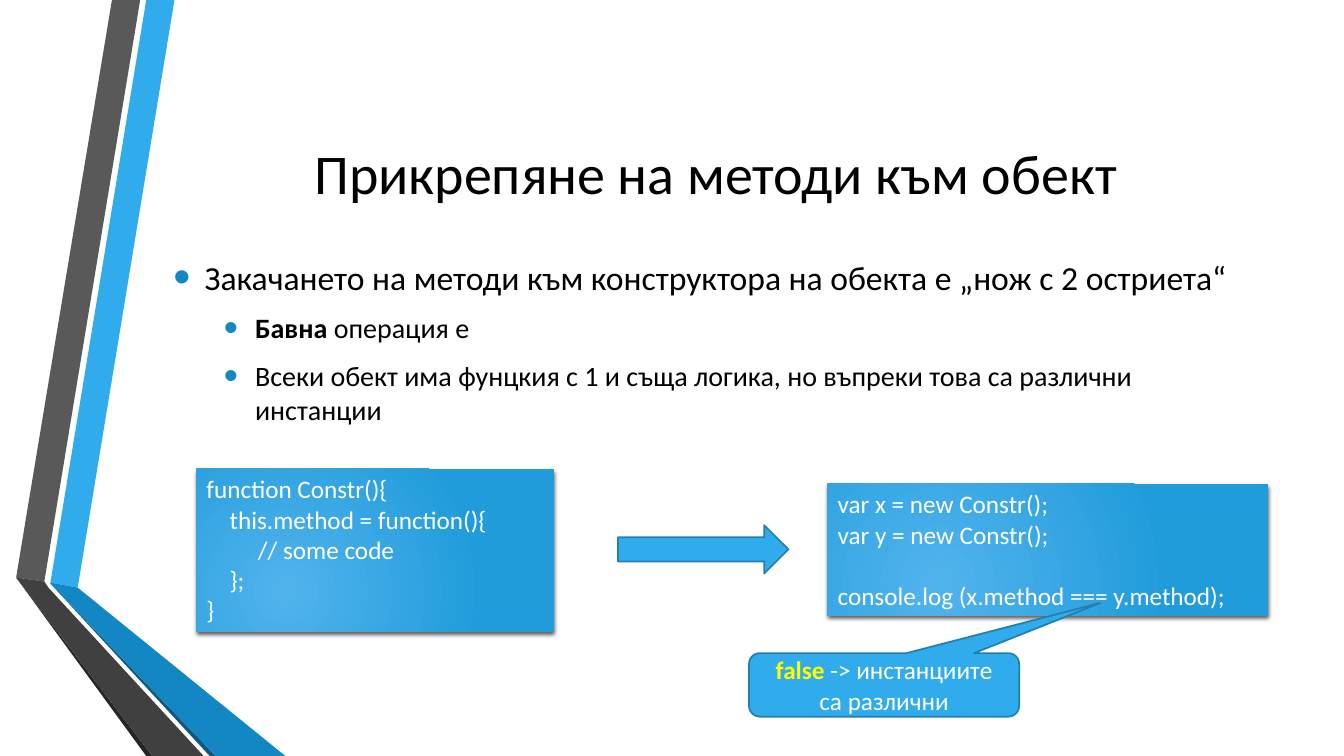
"""Builds a slide on the cost of attaching methods inside a constructor."""
from lxml.etree import SubElement, fromstring
from pptx import Presentation
from pptx.dml.color import RGBColor
from pptx.enum.shapes import MSO_SHAPE
from pptx.enum.text import MSO_ANCHOR, MSO_AUTO_SIZE, PP_ALIGN
from pptx.oxml.ns import nsdecls, qn
from pptx.util import Inches, Pt

COLORS = {
    "black": "000000", "white": "FFFFFF", "yellow": "FFFF00",
    "sky": "30ACEC", "blue": "1287C3", "navy": "0C5A82", "outline": "247FAF",
    "glow": "51B3ED", "edge": "219CDB",
    "gray": "595959", "charcoal": "404040", "coal": "262626",
}
FONT = "Calibri"

TITLE = "Прикрепяне на методи към обект"
BULLETS = [
    (0, 24, [("Закачането на методи към конструктора на обекта е „нож с 2 остриета“", False)]),
    (1, 20, [("Бавна", True), (" операция е", False)]),
    (1, 20, [("Всеки обект има фунцкия с 1 и съща логика, но въпреки това са различни инстанции", False)]),
]
# Each code line: indent in inches, space before in points, text
CONSTRUCTOR_CODE = [
    (0, 0, "function Constr(){"),
    (0.23, 0, "this.method = function(){"),
    (0.51, 0, "// some code"),
    (0.23, 0, "};"),
    (0, 0, "}"),
]
USAGE_CODE = [
    (0, 0, "var x = new Constr();"),
    (0, 0, "var y = new Constr();"),
    (0, 22, "console.log (x.method === y.method);"),
]
VERDICT = [("false ", "yellow", True), ("-> инстанциите са различни", "white", False)]

PLACES = {
    "title": (12.15, 10, 82.2, 25.6),
    "body": (12.15, 28.27, 82.2, 33.73),
    "constructor": (14.63, 62, 26.63, 21.6),
    "usage": (61.58, 64, 32.78, 17.47),
    "arrow": (45.98, 69.47, 12.68, 6.4),
    "verdict": (55.73, 86.4, 20.1, 8.4),
}
RIBBONS = [
    ("sky", [(3.75, 77.07), (5.78, 77.73), (12.98, 0), (10.88, 0)]),
    ("gray", [(10.43, 0), (8.33, 0), (1.2, 76.4), (3.3, 76.93)]),
    ("coal", [(1.2, 76.4), (10.88, 100), (11.33, 100)]),
    ("navy", [(3.75, 77.2), (15.6, 100), (16.05, 100)]),
    ("blue", [(3.75, 77.2), (16.05, 100), (21.23, 100), (5.78, 77.73), (3.75, 77.07)]),
    ("charcoal", [(15.15, 100), (3.6, 77.73), (3.3, 76.93), (1.2, 76.4), (11.33, 100)]),
]

deck = Presentation()
deck.slide_width, deck.slide_height = Inches(13.33), Inches(7.5)
slide = deck.slides.add_slide(deck.slide_layouts[1])


def point(x, y):
    return round(deck.slide_width * x / 100), round(deck.slide_height * y / 100)


def box(part):
    x, y, width, height = PLACES[part]
    return point(x, y) + point(width, height)


def rgb(color):
    return RGBColor.from_string(COLORS[color])


def write(paragraph, text, size, color, bold=False):
    run = paragraph.add_run()
    run.text = text
    for key, value in {"name": FONT, "size": Pt(size), "bold": bold}.items():
        setattr(run.font, key, value)
    run.font.color.rgb = rgb(color)


def lines(frame, count):
    return [frame.paragraphs[0]] + [frame.add_paragraph() for _ in range(count - 1)]


def place(placeholder, part):
    for key, value in zip(("left", "top", "width", "height"), box(part)):
        setattr(placeholder, key, value)
    frame = placeholder.text_frame
    settings = {"word_wrap": True, "auto_size": MSO_AUTO_SIZE.NONE, "vertical_anchor": MSO_ANCHOR.MIDDLE}
    for key, value in settings.items():
        setattr(frame, key, value)
    return frame


def paint(shape, fill, outline=None):
    shape.shadow.inherit = False
    shape.fill.solid()
    shape.fill.fore_color.rgb = rgb(fill)
    if outline:
        shape.line.color.rgb = rgb(outline)
        shape.line.width = Pt(1.25)
    else:
        shape.line.fill.background()


def bullet(paragraph, level):
    paragraph.level = level
    paragraph.space_after = Pt(6)
    props = paragraph._p.get_or_add_pPr()
    props.set("marL", str(Inches(0.31 + 0.5 * level)))
    props.set("indent", str(-Inches(0.31)))
    SubElement(SubElement(props, qn("a:buClr")), qn("a:srgbClr"), val=COLORS["blue"])
    SubElement(props, qn("a:buSzPct"), val="145000")
    SubElement(props, qn("a:buFont"), typeface="Arial")
    SubElement(props, qn("a:buChar"), char="•")


def code_box(part, code):
    panel = slide.shapes.add_shape(MSO_SHAPE.RECTANGLE, *box(part))
    paint(panel, "edge")
    panel.fill.gradient()
    for stop, color, position in zip(panel.fill.gradient_stops, ("glow", "edge"), (0, 1)):
        stop.color.rgb = rgb(color)
        stop.position = position
    props = panel._element.spPr
    gradient = props.find(qn("a:gradFill"))
    gradient.replace(gradient.find(qn("a:lin")), fromstring(
        f'<a:path {nsdecls("a")} path="circle">'
        '<a:fillToRect l="50000" t="100000" r="100000" b="50000"/></a:path>'))
    props.find(qn("a:effectLst")).append(fromstring(
        f'<a:outerShdw {nsdecls("a")} blurRad="{Pt(3)}" dist="{Pt(2)}" dir="5400000" rotWithShape="0">'
        f'<a:srgbClr val="{COLORS["black"]}"><a:alpha val="64000"/></a:srgbClr></a:outerShdw>'))
    frame = panel.text_frame
    frame.word_wrap, frame.vertical_anchor = True, MSO_ANCHOR.TOP
    for paragraph, (indent, gap, text) in zip(lines(frame, len(code)), code):
        paragraph.alignment = PP_ALIGN.LEFT
        paragraph.space_before = Pt(gap)
        paragraph._p.get_or_add_pPr().set("marL", str(Inches(indent)))
        write(paragraph, text, 18, "white")


for color, corners in RIBBONS:
    start, *rest = [point(*corner) for corner in corners]
    outline = slide.shapes.build_freeform(*start)
    outline.add_line_segments(rest, close=True)
    paint(outline.convert_to_shape(), color)

heading = place(slide.shapes.title, "title").paragraphs[0]
heading.alignment = PP_ALIGN.CENTER
write(heading, TITLE, 40, "black")

body = place(slide.placeholders[1], "body")
for paragraph, (level, size, pieces) in zip(lines(body, len(BULLETS)), BULLETS):
    bullet(paragraph, level)
    for text, bold in pieces:
        write(paragraph, text, size, "black", bold)

code_box("constructor", CONSTRUCTOR_CODE)
code_box("usage", USAGE_CODE)

arrow = slide.shapes.add_shape(MSO_SHAPE.RIGHT_ARROW, *box("arrow"))
paint(arrow, "sky", "outline")

callout = slide.shapes.add_shape(MSO_SHAPE.ROUNDED_RECTANGULAR_CALLOUT, *box("verdict"))
paint(callout, "sky", "outline")
for index, value in enumerate((0.8, -1.29, 0.17)):
    callout.adjustments[index] = value
callout.text_frame.word_wrap = True
callout.text_frame.vertical_anchor = MSO_ANCHOR.MIDDLE
verdict = callout.text_frame.paragraphs[0]
verdict.alignment = PP_ALIGN.CENTER
for text, color, bold in VERDICT:
    write(verdict, text, 18, color, bold)

deck.save("out.pptx")
